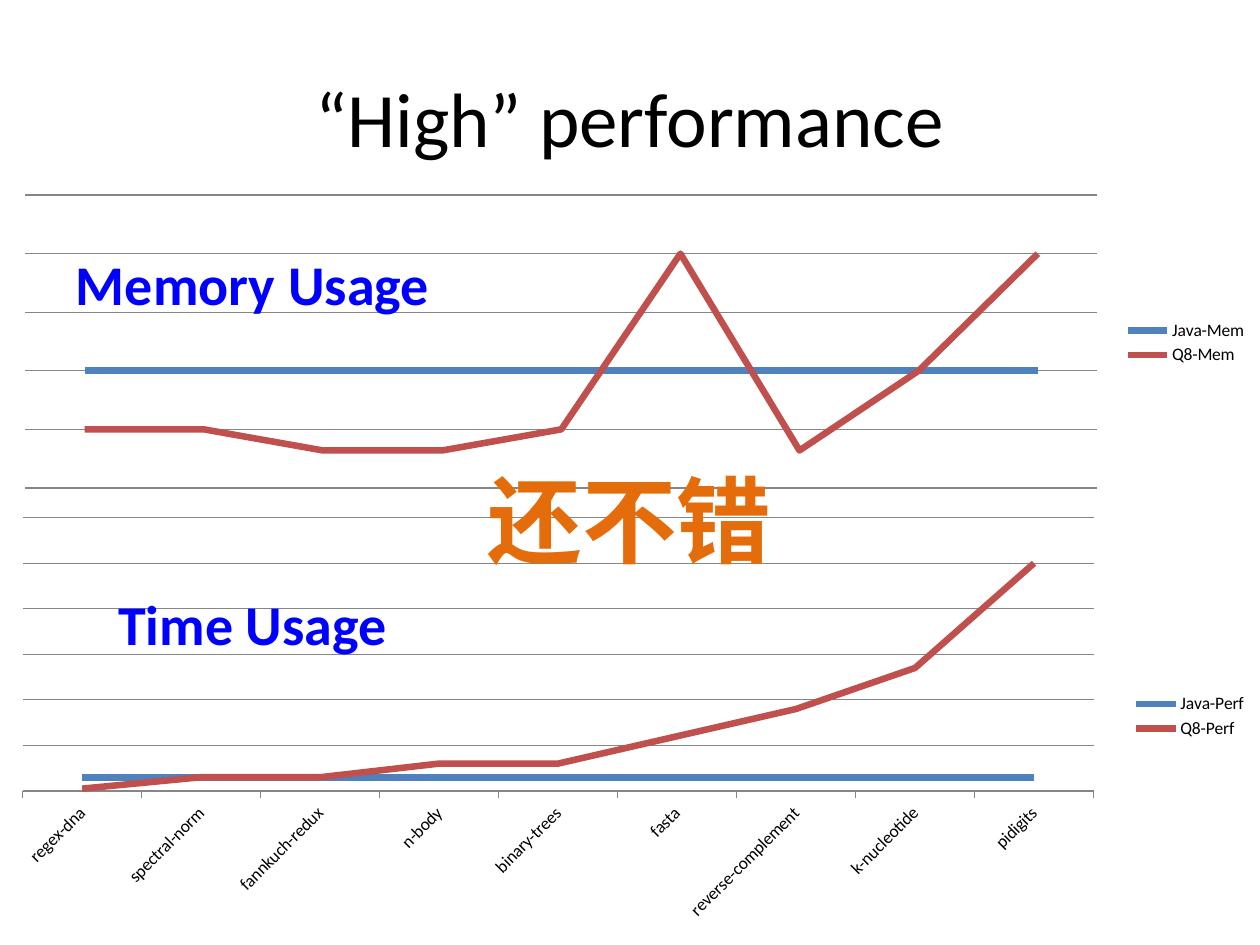
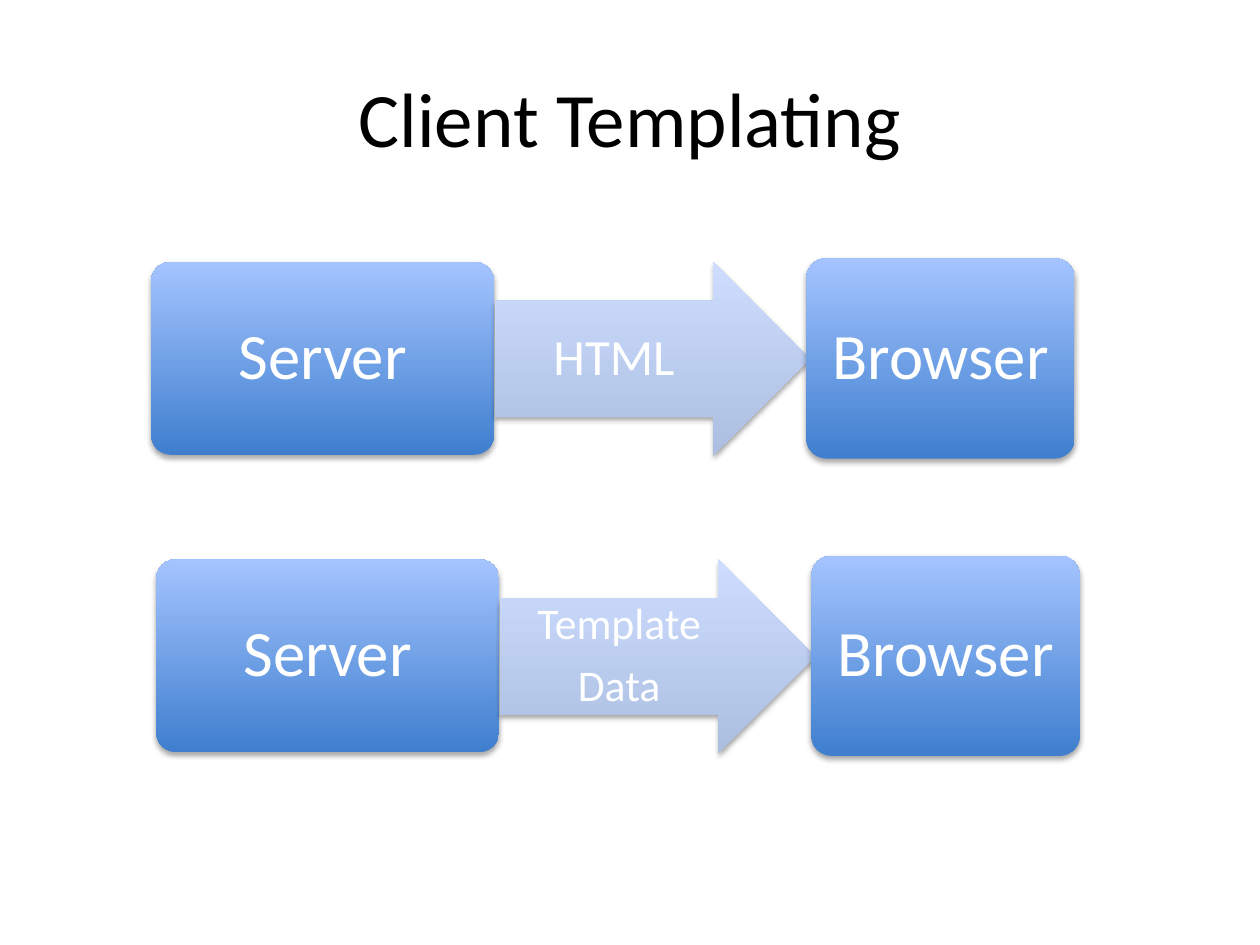
import dataclasses

import lxml.etree
import pptx
import pptx.chart.data
import pptx.dml.color
import pptx.enum.chart
import pptx.enum.shapes
import pptx.enum.text
import pptx.oxml
import pptx.oxml.ns
import pptx.util

Inches = pptx.util.Inches
Pt = pptx.util.Pt
MSO_SHAPE = pptx.enum.shapes.MSO_SHAPE
qn = pptx.oxml.ns.qn


@dataclasses.dataclass(frozen=True)
class Theme:
    font: str = "Calibri"
    ink: str = "000000"
    white: str = "FFFFFF"
    caption: str = "0000FF"
    verdict: str = "E46C0A"
    grid: str = "868686"
    series: tuple = ("4F81BD", "C0504D")
    box_fill: tuple = ("3F7FCE", "A4C4FF")
    arrow_fill: tuple = ("ADBFE1", "CCDDFF")
    title_size: int = 44
    caption_size: int = 32
    verdict_size: int = 54
    chart_size: int = 10
    box_size: int = 37


THEME = Theme()

BENCHMARKS = (
    "regex-dna", "spectral-norm", "fannkuch-redux", "n-body", "binary-trees",
    "fasta", "reverse-complement", "k-nucleotide", "pidigits",
)
TIME_USAGE = {
    "Java-Perf": [6] * 9,
    "Q8-Perf": [1, 6, 6, 12, 12, 24, 36, 54, 100],
}
MEMORY_USAGE = {
    "Java-Mem": [50] * 9,
    "Q8-Mem": [25, 25, 16, 16, 25, 100, 16, 50, 100],
}


def rgb(value):
    return pptx.dml.color.RGBColor.from_string(value)


def set_font(font, size, color, bold=False):
    font.name = THEME.font
    font.size = Pt(size)
    font.bold = bold
    font.color.rgb = rgb(color)


def add_span(para, text, size, color, bold=False):
    para.alignment = pptx.enum.text.PP_ALIGN.CENTER
    span = para.add_run()
    span.text = text
    set_font(span.font, size, color, bold)


def add_page(deck, title):
    page = deck.slides.add_slide(deck.slide_layouts[5])
    box = page.shapes.title
    box.left, box.top = Inches(0.5), Inches(0.3)
    box.width, box.height = Inches(9), Inches(1.25)
    box.text_frame.vertical_anchor = pptx.enum.text.MSO_ANCHOR.MIDDLE
    add_span(box.text_frame.paragraphs[0], title, THEME.title_size, THEME.ink)
    return page


def add_caption(page, text, left, top, width, height, size, color, wrap=True):
    box = page.shapes.add_textbox(
        Inches(left), Inches(top), Inches(width), Inches(height))
    frame = box.text_frame
    frame.word_wrap = wrap
    frame.auto_size = pptx.enum.text.MSO_AUTO_SIZE.SHAPE_TO_FIT_TEXT
    add_span(frame.paragraphs[0], text, size, color, bold=True)


def set_plot_area(chart, left, top, width, height):
    plot_area = chart._chartSpace.chart.plotArea
    for layout in plot_area.findall(qn("c:layout")):
        plot_area.remove(layout)
    layout = lxml.etree.Element(qn("c:layout"))
    manual = lxml.etree.SubElement(layout, qn("c:manualLayout"))
    settings = (
        ("layoutTarget", "inner"), ("xMode", "edge"), ("yMode", "edge"),
        ("x", left), ("y", top), ("w", width), ("h", height),
    )
    for name, value in settings:
        lxml.etree.SubElement(manual, qn(f"c:{name}")).set("val", str(value))
    plot_area.insert(0, layout)


def add_line_chart(page, categories, usage, top, height, plot, peak, step):
    data = pptx.chart.data.CategoryChartData()
    data.categories = categories
    for name, values in usage.items():
        data.add_series(name, values)
    chart = page.shapes.add_chart(
        pptx.enum.chart.XL_CHART_TYPE.LINE,
        Inches(0), Inches(top), Inches(10), Inches(height), data).chart
    set_font(chart.font, THEME.chart_size, THEME.ink)
    chart.has_title = False
    chart.has_legend = True
    chart.legend.position = pptx.enum.chart.XL_LEGEND_POSITION.RIGHT
    chart.legend.include_in_layout = False
    chart.plots[0].vary_by_categories = False
    set_plot_area(chart, *plot)

    scale = chart.value_axis
    scale.visible = False
    scale.minimum_scale, scale.maximum_scale = 0, peak
    scale.major_unit = step
    scale.has_major_gridlines = True
    grid = scale.major_gridlines.format.line
    grid.color.rgb = rgb(THEME.grid)
    grid.width = Pt(0.75)

    for series, color in zip(chart.plots[0].series, THEME.series):
        series.smooth = False
        series.format.line.color.rgb = rgb(color)
        series.format.line.width = Pt(3.75)
    return chart


def show_slanted_labels(chart):
    axis = chart.category_axis
    axis.major_tick_mark = pptx.enum.chart.XL_TICK_MARK.OUTSIDE
    axis.format.line.color.rgb = rgb(THEME.grid)
    set_font(axis.tick_labels.font, THEME.chart_size, THEME.ink)
    axis._element.txPr.find(qn("a:bodyPr")).set("rot", "-2700000")


def add_soft_shadow(shape):
    shape.shadow.inherit = False
    effects = shape._element.spPr.find(qn("a:effectLst"))
    shadow = lxml.etree.SubElement(
        effects, qn("a:outerShdw"), blurRad=str(Pt(3.1)), dist=str(Pt(1.8)),
        dir="5400000", rotWithShape="0")
    color = lxml.etree.SubElement(shadow, qn("a:srgbClr"), val=THEME.ink)
    lxml.etree.SubElement(color, qn("a:alpha"), val="35000")


def add_step(group, kind, adjustments, lines, left, top, width, height,
             size, colors, insets):
    shape = group.shapes.add_shape(
        kind, Inches(left), Inches(top), Inches(width), Inches(height))
    for index, value in enumerate(adjustments):
        shape.adjustments[index] = value
    shape.line.fill.background()
    shape.fill.gradient()
    shape.fill.gradient_angle = 90
    for stop, color, position in zip(shape.fill.gradient_stops, colors, (0, 1)):
        stop.color.rgb = rgb(color)
        stop.position = position
    add_soft_shadow(shape)

    frame = shape.text_frame
    frame.word_wrap = True
    frame.vertical_anchor = pptx.enum.text.MSO_ANCHOR.MIDDLE
    (frame.margin_left, frame.margin_top,
     frame.margin_right, frame.margin_bottom) = map(Inches, insets)
    for index, line in enumerate(lines):
        para = frame.add_paragraph() if index else frame.paragraphs[0]
        para.line_spacing = 0.9
        para.space_after = Pt(0.35 * size)
        add_span(para, line, size, THEME.white)


def add_box(group, text, left, top, width, height):
    add_step(group, MSO_SHAPE.ROUNDED_RECTANGLE, (0.1,), (text,), left, top,
             width, height, THEME.box_size, THEME.box_fill, (0.15,) * 4)


def add_flow(page, left, top, payload, payload_size):
    group = page.shapes.add_group_shape()
    add_box(group, "Server", left, top + 0.03, 2.72, 1.53)
    add_step(group, MSO_SHAPE.RIGHT_ARROW, (0.6, 0.5), payload, left + 2.73,
             top + 0.03, 2.5, 1.54, payload_size, THEME.arrow_fill,
             (0, 0, 0.15, 0))
    add_box(group, "Browser", left + 5.2, top, 2.13, 1.59)


def add_performance_page(deck):
    page = add_page(deck, "“High” performance")
    time_chart = add_line_chart(
        page, BENCHMARKS, TIME_USAGE, 3.93, 3.51,
        (0.018, 0.051, 0.85, 0.618), 120, 20)
    show_slanted_labels(time_chart)
    memory_chart = add_line_chart(
        page, [str(number) for number in range(1, 10)], MEMORY_USAGE,
        1.51, 2.42, (0.02, 0.016, 0.851, 0.961), 125, 25)
    memory_chart.category_axis.visible = False
    for text, top in (("Memory Usage", 1.93), ("Time Usage", 4.63)):
        add_caption(page, text, 0.31, top, 3.39, 0.64,
                    THEME.caption_size, THEME.caption)
    add_caption(page, "还不错", 3.76, 3.62, 2.47, 1.01,
                THEME.verdict_size, THEME.verdict, wrap=False)


def add_templating_page(deck):
    page = add_page(deck, "Client Templating")
    add_flow(page, 1.2, 2.05, ("HTML",), 29)
    add_flow(page, 1.24, 4.41, ("Template", "Data"), 25)


def main():
    deck = pptx.Presentation()
    deck.slide_width, deck.slide_height = Inches(10), Inches(7.5)
    add_performance_page(deck)
    add_templating_page(deck)
    deck.save("out.pptx")


if __name__ == "__main__":
    main()
